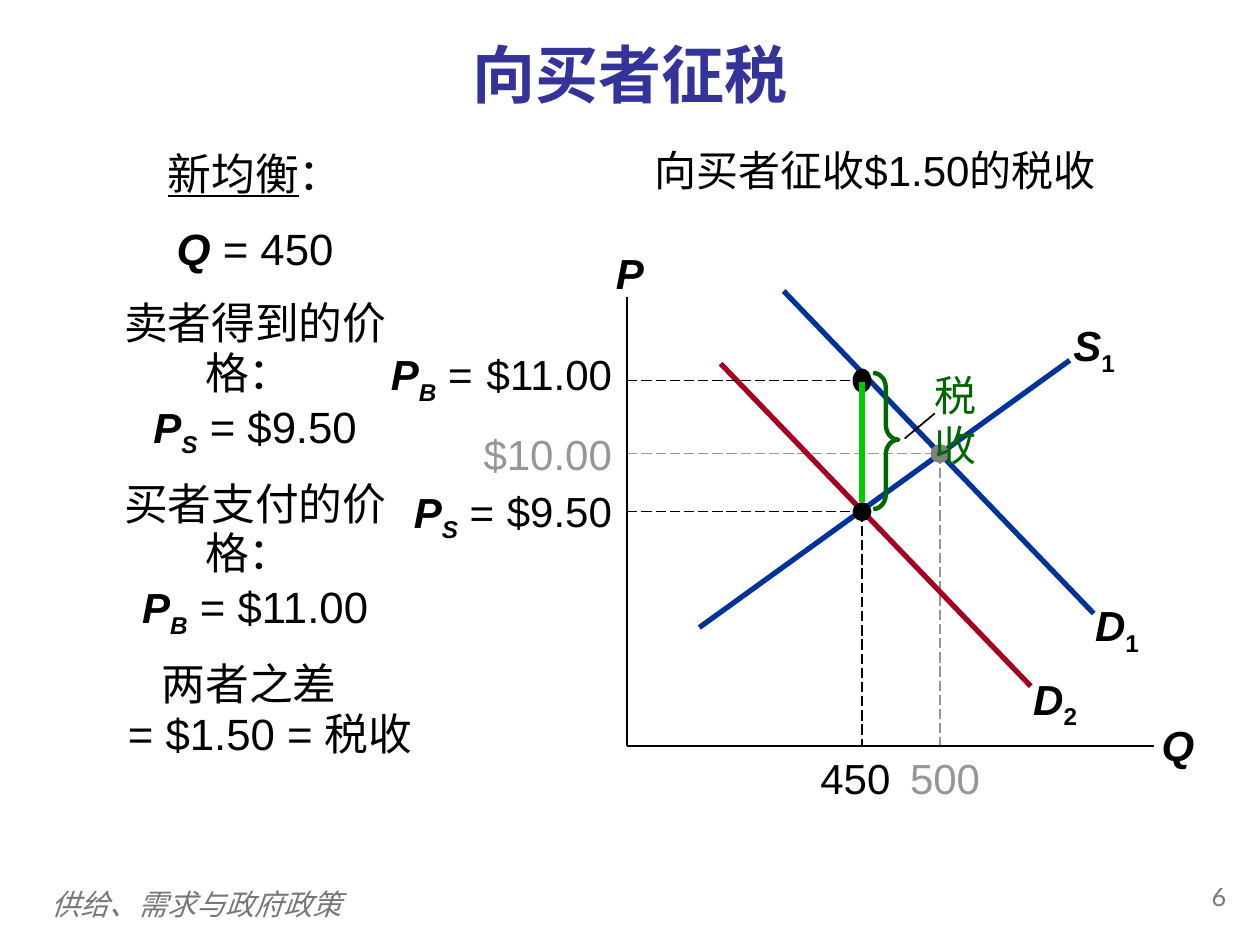
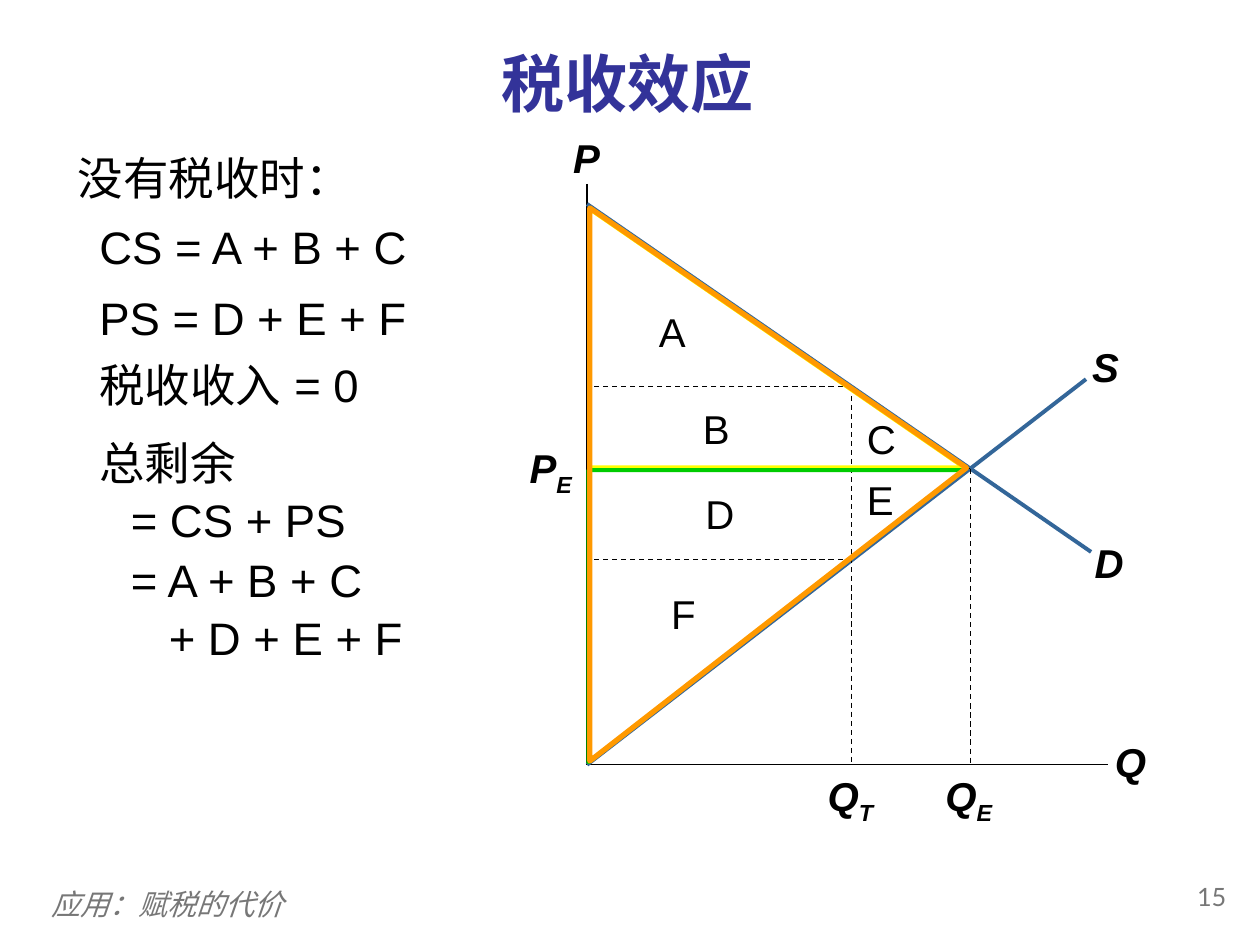
from lxml import etree
from pptx import Presentation
from pptx.dml.color import RGBColor
from pptx.enum.dml import MSO_LINE
from pptx.enum.lang import MSO_LANGUAGE_ID
from pptx.enum.shapes import MSO_CONNECTOR, MSO_SHAPE
from pptx.enum.text import MSO_ANCHOR, PP_ALIGN
from pptx.oxml.ns import qn
from pptx.util import Pt

LEFT, CENTER, RIGHT = PP_ALIGN.LEFT, PP_ALIGN.CENTER, PP_ALIGN.RIGHT
MIDDLE, TOP = MSO_ANCHOR.MIDDLE, MSO_ANCHOR.TOP
DASH, LONG_DASH = MSO_LINE.DASH, MSO_LINE.LONG_DASH
STRAIGHT = MSO_CONNECTOR.STRAIGHT
CHINESE = MSO_LANGUAGE_ID.SIMPLIFIED_CHINESE
OVAL, BRACE = MSO_SHAPE.OVAL, MSO_SHAPE.RIGHT_BRACE
RIGHT_TRIANGLE, TRIANGLE = MSO_SHAPE.RIGHT_TRIANGLE, MSO_SHAPE.ISOSCELES_TRIANGLE

CHINESE_FONT = "Arial"
COLORS = {
    "black": "000000", "title": "333399", "footer": "777777",
    "curve": "003399", "new demand": "A50021", "old": "969696",
    "old dot": "808080", "tax": "006600", "wedge": "00CC00",
    "market": "336699", "consumer": "FFFF00", "producer": "00CC00",
    "total": "FF9900",
}


def symbol(letter, subscript="", size=None):
    subscript_style = "b-" if subscript.isdigit() else "bi-"
    runs = [(letter, "bi", size)]
    return runs + [(subscript, subscript_style, size)] if subscript else runs


def plain(text):
    return [(text, "")]


BUYER_TAX = {
    "title": "向买者征税",
    "title box": (0, 16.6, 720, 51),
    "footer": "供给、需求与政府政策",
    "number": "6",
    "chart title": "向买者征收$1.50的税收",
    "notes": [
        [("新均衡", "u"), ("：", "")],
        symbol("Q") + plain(" = 450"),
        plain("卖者得到的价格： \n") + symbol("P", "S", 24) + plain(" = $9.50"),
        plain("买者支付的价格： \n") + symbol("P", "B", 24) + plain(" = $11.00"),
        plain("两者之差 "),
    ],
    "difference": plain("= $1.50 = 税收"),
    "quantities": {"450": 492.6, "500": 537.1},
    "quantity label lefts": {"450": 465.8, "500": 517},
    "prices": {"$11.00": 217.5, "$10.00": 259.2, "$9.50": 292.4},
    "price label tops": {"$11.00": 199.4, "$10.00": 244.6, "$9.50": 277.4},
    "price symbols": [("B", (213.8, 195.8)), ("S", (226.1, 274.3))],
    "supply": ((399.6, 358.6), (611.3, 205.9)),
    "demand": ((447.8, 166.3), (625, 350.6)),
    "demand shift": (-36, 41.5),
    "tax": "税收",
}

TAX_EFFECT = {
    "title": "税收效应",
    "title box": (27.4, 20.2, 662.4, 53.3),
    "footer": "应用：赋税的代价",
    "number": "15",
    "heading": "没有税收时：",
    "measures": [("CS = A + B + C", 120.2), ("PS = D + E + F", 160.6),
                 ("税收收入 = 0", 198.7)],
    "surplus": [("总剩余", 0, 0), ("= CS + PS", 18, 0),
                ("= A + B + C", 18, 1.6), ("+ D + E + F", 39.7, 0)],
    "areas": {"A": (369.4, 172.1), "B": (394.6, 227.5), "C": (488.2, 233.3),
              "D": (396, 275.8), "E": (488.2, 267.8), "F": (375.8, 333.4)},
    "axis letters": {"P": (320.4, 72.7), "Q": (630, 417.6),
                     "D": (618.5, 303.8), "S": (617, 192.2)},
    "demand": ((335.5, 116.6), (623.5, 315.4)),
    "supply": ((335.5, 437), (620.6, 216.7)),
}


def rgb(name):
    return RGBColor.from_string(COLORS[name])


def add_runs(paragraph, runs, size, color, font_name):
    paragraph._p.get_or_add_pPr().set("hangingPunct", "0")
    for text, style, *own_size in runs:
        for index, line in enumerate(text.split("\n")):
            if index:
                paragraph.add_line_break()
            if not line:
                continue
            run = paragraph.add_run()
            run.text = line
            font = run.font
            font.size = Pt(own_size[0] if own_size and own_size[0] else size)
            font.bold, font.italic = "b" in style, "i" in style
            font.underline = "u" in style
            font.color.rgb = rgb(color)
            font.name = font_name
            font.language_id = CHINESE
            properties = run._r.get_or_add_rPr()
            etree.SubElement(properties, qn("a:ea")).set("typeface", CHINESE_FONT)
            if "-" in style:
                properties.set("baseline", "-25000")


def add_text(slide, box, paragraphs, size=24, color="black", align=CENTER,
             insets=(7.2, 3.6, 7.2, 3.6), spacing=None, before=0, indents=None,
             anchor=TOP, font_name="Arial"):
    shape = slide.shapes.add_textbox(*map(Pt, box))
    frame = shape.text_frame
    frame.word_wrap = True
    frame.vertical_anchor = anchor
    (frame.margin_left, frame.margin_top,
     frame.margin_right, frame.margin_bottom) = map(Pt, insets)
    gaps = before if isinstance(before, list) else [0] + [before] * len(paragraphs)
    for index, runs in enumerate(paragraphs):
        paragraph = frame.paragraphs[0] if index == 0 else frame.add_paragraph()
        paragraph.alignment = align
        paragraph.space_before = Pt(gaps[index])
        if spacing:
            paragraph.line_spacing = spacing
        if indents and indents[index]:
            paragraph._p.get_or_add_pPr().set("marL", str(Pt(indents[index])))
        add_runs(paragraph, runs, size, color, font_name)


def add_line(slide, start, end, color="black", width=0.75, dash=None):
    connector = slide.shapes.add_connector(STRAIGHT, *map(Pt, start + end))
    connector.line.color.rgb = rgb(color)
    connector.line.width = Pt(width)
    if dash:
        connector.line.dash_style = dash
    etree.SubElement(connector._element.spPr, qn("a:effectLst"))


def add_outline(slide, kind, box, color, width, turned=False):
    left, top, across, down = box
    if turned:
        left, top = left + (across - down) / 2, top + (down - across) / 2
        across, down = down, across
    shape = slide.shapes.add_shape(kind, *map(Pt, (left, top, across, down)))
    shape.shadow.inherit = False
    shape.fill.background()
    shape.line.color.rgb = rgb(color)
    shape.line.width = Pt(width)
    shape.rotation = 90 if turned else 0
    return shape


def add_dot(slide, center, color, width=10.8, height=10.8):
    x, y = center
    dot = slide.shapes.add_shape(
        OVAL, Pt(x - width / 2), Pt(y - height / 2), Pt(width), Pt(height))
    dot.shadow.inherit = False
    dot.fill.solid()
    dot.fill.fore_color.rgb = rgb(color)
    dot.line.fill.background()


def start_slide(presentation, content):
    slide = presentation.slides.add_slide(presentation.slide_layouts[5])
    title = slide.shapes.title
    title.left, title.top, title.width, title.height = map(Pt, content["title box"])
    title.text_frame.vertical_anchor = MIDDLE
    paragraph = title.text_frame.paragraphs[0]
    paragraph.alignment = CENTER
    add_runs(paragraph, [(content["title"], "b")], 36, "title", "Cambria")
    add_text(slide, (22.3, 503.3, 577.4, 28.8), [[(content["footer"], "i")]], 16.6,
             "footer", LEFT, spacing=0.9, anchor=MIDDLE)
    add_text(slide, (653.8, 501.8, 54, 28.8), [plain(content["number"])], 14.4,
             "footer", RIGHT, spacing=0.9, font_name="Lato")
    return slide


def build_buyer_tax(presentation):
    content = BUYER_TAX
    slide = start_slide(presentation, content)
    axis_x, axis_y = 358.4, 426.2
    quantities, prices = content["quantities"], content["prices"]

    def add_curve(line, color, name, offset):
        add_line(slide, *line, color, 3)
        x, y = line[1]
        add_text(slide, (x + offset[0], y + offset[1], 48.2, 40.3), [symbol(*name)])

    def add_price(price, color, quantity):
        y = prices[price]
        add_line(slide, (axis_x, y), (quantities[quantity], y), color, dash=LONG_DASH)
        add_text(slide, (264.2, content["price label tops"][price], 92.6, 28.8),
                 [plain(price)], 24, color, RIGHT, (0, 0, 7.2, 0))

    def add_quantity(quantity, color, price):
        x = quantities[quantity]
        add_line(slide, (x, prices[price]), (x, axis_y), color, dash=LONG_DASH)
        add_text(slide, (content["quantity label lefts"][quantity], 430, 46.1, 28.8),
                 [plain(quantity)], 24, color, insets=(0, 0, 0, 0))

    add_curve(content["supply"], "curve", "S1", (-10.1, -26.6))
    add_curve(content["demand"], "curve", "D1", (-10.8, -11.5))
    add_price("$10.00", "old", "500")
    add_quantity("500", "old", "$10.00")
    add_dot(slide, (quantities["500"], prices["$10.00"]), "old dot")

    add_line(slide, (axis_x, 170), (axis_x, axis_y), width=1)
    add_line(slide, (axis_x, axis_y), (659.5, axis_y), width=1)
    add_text(slide, (343.4, 138.2, 33.1, 36), [symbol("P")])
    add_text(slide, (655.2, 407.5, 36, 36), [symbol("Q")])

    shift_x, shift_y = content["demand shift"]
    new_demand = tuple((x + shift_x, y + shift_y) for x, y in content["demand"])
    add_curve(new_demand, "new demand", "D2", (-10.1, -11))
    add_price("$11.00", "black", "450")
    add_price("$9.50", "black", "450")
    for subscript, place in content["price symbols"]:
        add_text(slide, (*place, 63.4, 40.3), [symbol("P", subscript) + plain(" =")],
                 align=RIGHT)
    taxed = quantities["450"]
    add_dot(slide, (taxed, prices["$11.00"]), "black", height=13.7)

    brace = add_outline(slide, BRACE, (499, 213.1, 14.4, 77.8), "tax", 2.5)
    brace.adjustments[0], brace.adjustments[1] = 0.58, 0.49
    add_text(slide, (509.8, 207.4, 55.4, 64.8), [plain(content["tax"])], 24, "tax", RIGHT)
    add_line(slide, (517, 250.6), (534.2, 236.2), width=1)

    add_text(slide, (347, 79.2, 306, 36), [plain(content["chart title"])])
    notes = content["notes"] + [content["difference"]]
    add_text(slide, (42.5, 82.8, 206.6, 383), notes, 25, spacing=0.95,
             before=[0, 14, 14, 14, 14, 0], indents=[0, 0, 0, 0, 0, 17])
    add_dot(slide, (taxed, prices["$9.50"]), "black")
    add_quantity("450", "black", "$9.50")
    add_line(slide, (taxed, 286.6), (taxed, 218.2), "wedge", 3)


def build_tax_effect(presentation):
    content = TAX_EFFECT
    slide = start_slide(presentation, content)
    axis_x, axis_y = 335.5, 437
    taxed, equilibrium = 486.7, 554.4
    buyer_price, market_price, seller_price = 221, 267.8, 319.7

    add_line(slide, (axis_x, 105.1), (axis_x, axis_y))
    add_line(slide, (axis_x, axis_y), (632.9, axis_y))
    for curve in ("demand", "supply"):
        add_line(slide, *content[curve], "market", 2.25)
    for x, y in ((taxed, buyer_price), (equilibrium, market_price)):
        add_line(slide, (x, y), (x, axis_y), dash=DASH)
    for x, y in ((taxed, seller_price), (taxed, buyer_price),
                 (equilibrium, market_price)):
        add_line(slide, (x, y), (axis_x, y), dash=DASH)

    for letter, place in content["axis letters"].items():
        add_text(slide, (*place, 28.8, 35.3), [symbol(letter)], 23)
    add_text(slide, (293.8, 249.8, 41.8, 38.9), [symbol("P", "E")], 23)
    for subscript, x in (("E", equilibrium), ("T", taxed)):
        add_text(slide, (x - 23.8, axis_y, 46.1, 38.9), [symbol("Q", subscript)], 23)
    for letter, place in content["areas"].items():
        add_text(slide, (*place, 29.5, 35.3), [plain(letter)], 23)

    add_text(slide, (37.4, 80.6, 237.6, 42.5), [plain(content["heading"])], 26,
             align=LEFT, spacing=1.05)
    for text, top in content["measures"]:
        add_text(slide, (49.7, top, 207.4, 42.5), [plain(text)], 26, align=LEFT,
                 spacing=1.05)
    lines, indents, gaps = zip(*content["surplus"])
    add_text(slide, (49.7, 243.4, 207.4, 145.4), [plain(line) for line in lines], 26,
             align=LEFT, spacing=1.05, before=list(gaps), indents=indents)

    add_outline(slide, RIGHT_TRIANGLE, (337, 119.5, 213.8, 147.6), "consumer", 2.25)
    add_outline(slide, RIGHT_TRIANGLE, (336.2, 268.6, 214.6, 167), "producer", 2.25, True)
    total = add_outline(slide, TRIANGLE, (337, 118.8, 215.3, 316.1), "total", 3, True)
    total.adjustments[0] = 0.47


def main():
    presentation = Presentation()
    presentation.slide_width, presentation.slide_height = Pt(720), Pt(540)
    build_buyer_tax(presentation)
    build_tax_effect(presentation)
    presentation.save("out.pptx")


if __name__ == "__main__":
    main()
